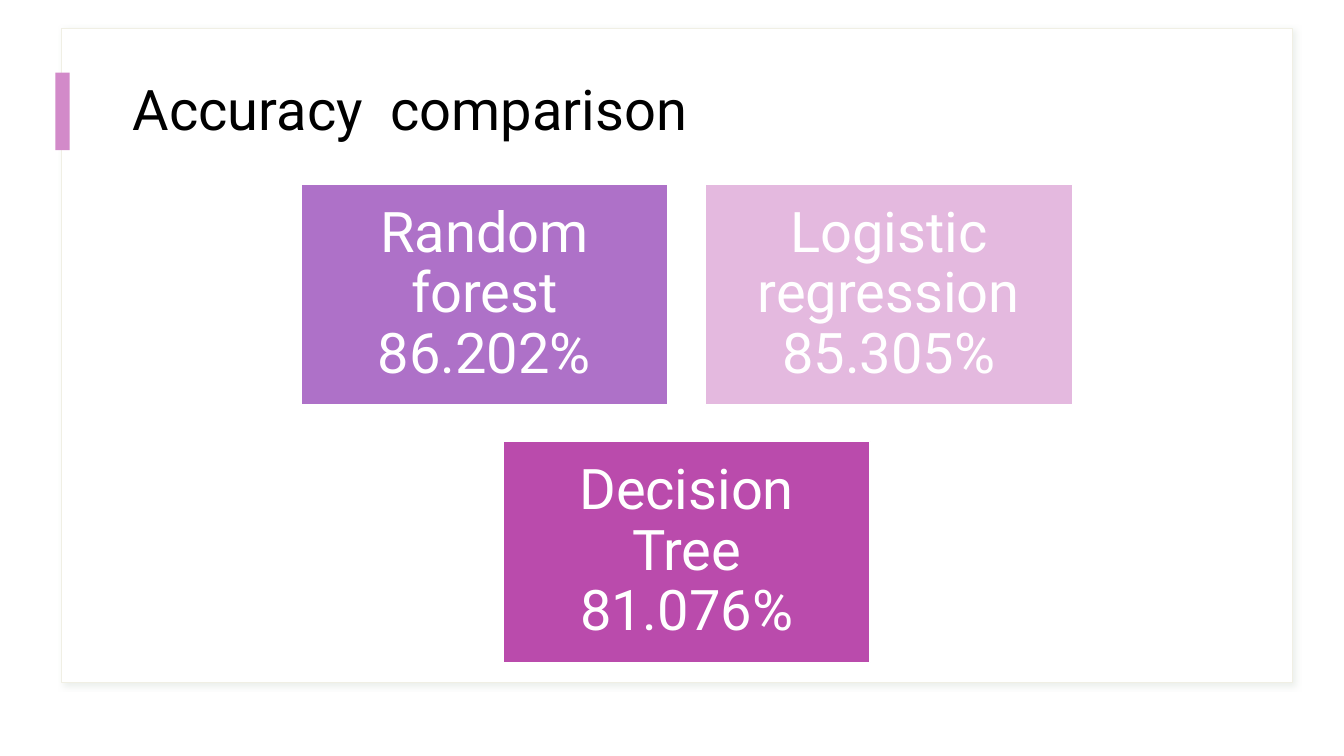
from lxml.etree import SubElement
from pptx import Presentation
from pptx.dml.color import RGBColor
from pptx.enum.shapes import MSO_SHAPE
from pptx.enum.text import MSO_ANCHOR, PP_ALIGN
from pptx.oxml.ns import qn
from pptx.util import Inches, Pt

# Content
TITLE = "Accuracy  comparison"
CARD_ROWS = [
    [("Random forest", "86.202%", "AE71C8"), ("Logistic regression", "85.305%", "E4B9DF")],
    [("Decision Tree", "81.076%", "BA4BAC")],
]

# Layout, in inches
CARD_WIDTH, CARD_HEIGHT = 3.64, 2.19
COLUMN_STEP, ROW_STEP = 4.01, 2.55
CARDS_CENTER, CARDS_TOP = 6.81, 1.83
CARD_INSET = 0.17


def color(hex_value):
    return RGBColor.from_string(hex_value)


def add_box(left, top, width, height, fill, line=None):
    box = slide.shapes.add_shape(MSO_SHAPE.RECTANGLE, Inches(left), Inches(top),
                                 Inches(width), Inches(height))
    box.shadow.inherit = False
    box.fill.solid()
    box.fill.fore_color.rgb = color(fill)
    if line:
        box.line.color.rgb = color(line)
        box.line.width = Pt(1)
    else:
        box.line.fill.background()
    return box


def write(shape, text, font_color, align, inset_x, inset_y):
    frame = shape.text_frame
    frame.word_wrap = True
    frame.vertical_anchor = MSO_ANCHOR.MIDDLE
    frame.margin_left = frame.margin_right = Inches(inset_x)
    frame.margin_top = frame.margin_bottom = Inches(inset_y)
    frame.text = text
    paragraph = frame.paragraphs[0]
    paragraph.alignment = align
    paragraph.line_spacing = 0.9
    paragraph.font.name = "Roboto"
    paragraph.font.size = Pt(40)
    paragraph.font.color.rgb = color(font_color)


def add_soft_shadow(shape, hex_value):
    effects = shape.element.spPr.find(qn("a:effectLst"))
    shadow = SubElement(effects, qn("a:outerShdw"), blurRad=str(Pt(4)), dist=str(Pt(3)),
                        dir=str(45 * 60000), algn="tl", rotWithShape="0")
    tint = SubElement(shadow, qn("a:srgbClr"), val=hex_value)
    SubElement(tint, qn("a:alpha"), val="30000")


presentation = Presentation()
presentation.slide_width, presentation.slide_height = Inches(13.33), Inches(7.5)
slide = presentation.slides.add_slide(presentation.slide_layouts[6])

# Frame, title and accent bar
panel = add_box(0.61, 0.28, 12.21, 6.49, "FFFFFF", "F0EFE4")
add_soft_shadow(panel, "BCCABE")
heading = slide.shapes.add_textbox(Inches(1.22), Inches(0.56), Inches(11.19), Inches(1.11))
write(heading, TITLE, "000000", PP_ALIGN.LEFT, 0.1, 0.05)
add_box(0.55, 0.72, 0.14, 0.77, "D28AC9")

# Accuracy cards, each row centred
for row, cards in enumerate(CARD_ROWS):
    row_width = CARD_WIDTH + (len(cards) - 1) * COLUMN_STEP
    row_left = CARDS_CENTER - row_width / 2
    for column, (model, accuracy, fill) in enumerate(cards):
        card = add_box(row_left + column * COLUMN_STEP, CARDS_TOP + row * ROW_STEP,
                       CARD_WIDTH, CARD_HEIGHT, fill, "FFFFFF")
        write(card, f"{model}\v{accuracy}", "FFFFFF", PP_ALIGN.CENTER, CARD_INSET, CARD_INSET)

presentation.save("out.pptx")
